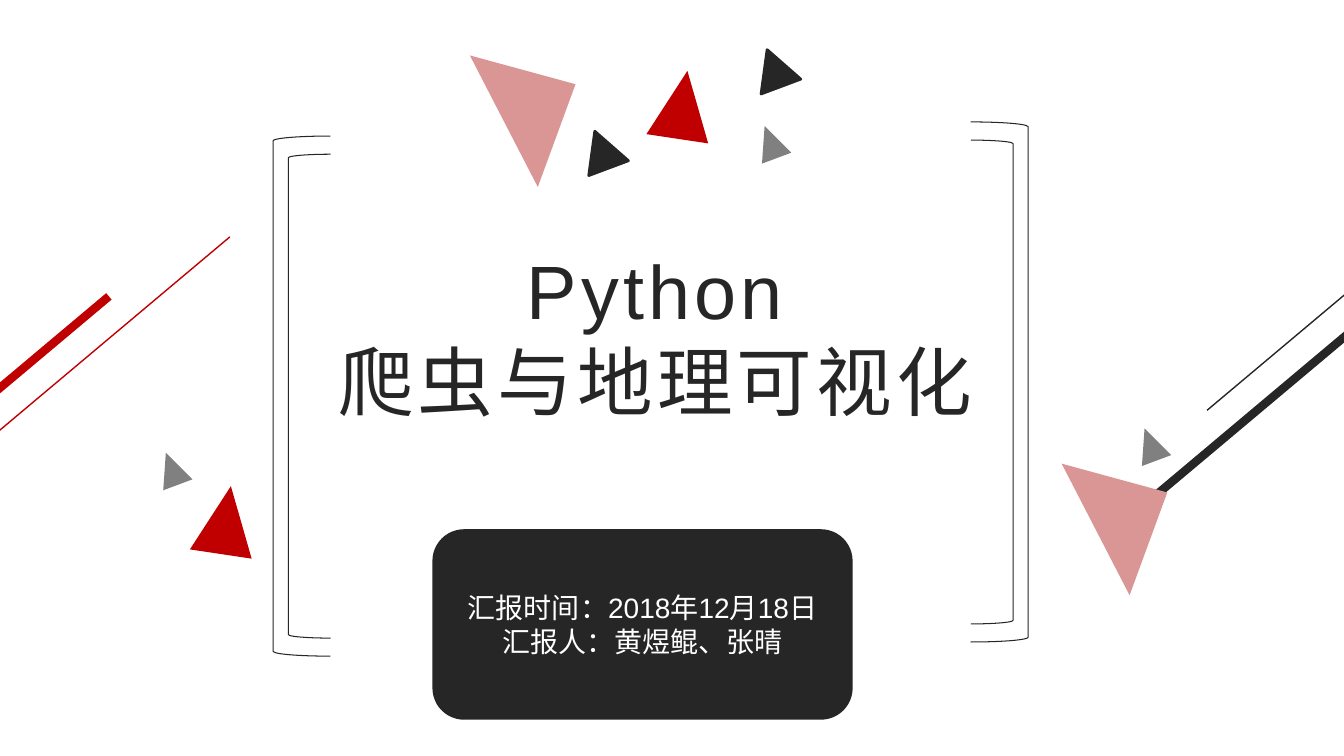
"""Build the opening slide of a report on Python crawling and geographic visualisation."""
from pptx import Presentation
from pptx.dml.color import RGBColor
from pptx.enum.shapes import MSO_CONNECTOR, MSO_SHAPE as SHAPE
from pptx.enum.text import MSO_ANCHOR, MSO_AUTO_SIZE, PP_ALIGN
from pptx.oxml.ns import qn
from pptx.util import Pt
from lxml.etree import SubElement

RED, DARK, GRAY, PINK, WHITE = "C00000", "262626", "808080", "D99694", "FFFFFF"


def paint(fmt, color):
    fmt.solid()
    fmt.fore_color.rgb = RGBColor.from_string(color)


def add_shape(kind, x, y, w, h, fill=None, line=None, weight=0.75):
    sp = s.shapes.add_shape(kind, Pt(x), Pt(y), Pt(w), Pt(h))
    sp.shadow.inherit = False
    if fill:
        paint(sp.fill, fill)
    else:
        sp.fill.background()
    if line:
        paint(sp.line.fill, line)
        sp.line.width = Pt(weight)
    else:
        sp.line.fill.background()
    return sp


prs = Presentation()
prs.slide_width, prs.slide_height = Pt(960), Pt(540)
s = prs.slides.add_slide(prs.slide_layouts[5])

diagonals = [
    (77.8, 211.7, RED, 6),
    (164.2, 169.2, RED, 1),
    (1015.9, 193.9, DARK, 6),
    (1066.2, 121.7, DARK, 1),
]
for x, y, color, weight in diagonals:
    line = s.shapes.add_connector(
        MSO_CONNECTOR.STRAIGHT, Pt(x), Pt(y), Pt(x - 204), Pt(y + 171.4))
    paint(line.line.fill, color)
    line.line.width = Pt(weight)
    SubElement(line._element.spPr, qn("a:effectLst"))

triangles = [
    (RED, None, 44.6, 49, 8.5, [(139, 347), (465.1, 50.4)]),
    (GRAY, None, 22.3, 24.5, 339.5, [(111.6, 322.6), (539.3, 89.3), (810.7, 305.3)]),
    (PINK, None, 105.8, 57.6, 62.7, [(755.3, 336.2), (332.6, 44.6)]),
    (DARK, DARK, 30.2, 28.1, 339.5, [(414.7, 92.9), (537.8, 34.6)]),
]
for fill, outline, w, h, angle, places in triangles:
    for x, y in places:
        sp = add_shape(SHAPE.ISOSCELES_TRIANGLE, x, y, w, h, fill, outline, 2)
        sp.rotation = angle

brackets = [
    (SHAPE.LEFT_BRACKET, 236.1, 1, 97.2),
    (SHAPE.RIGHT_BRACKET, 693.4, 0, 87.1),
]
for kind, open_x, side, top in brackets:
    for w, h, inset in [(41, 371.5, 0), (30.2, 345.6, 13)]:
        add_shape(kind, open_x - side * w, top + inset, w, h, line=DARK)

title = s.shapes.title
title.left, title.top, title.width, title.height = Pt(230.4), Pt(170.6), Pt(475.2), Pt(138.2)
tf = title.text_frame
tf.text = "Python\n爬虫与地理可视化"
tf.word_wrap = False
tf.auto_size = MSO_AUTO_SIZE.NONE
tf.vertical_anchor = MSO_ANCHOR.TOP

card = add_shape(SHAPE.ROUNDED_RECTANGLE, 308.9, 378, 300.2, 136.1, DARK)
card.text_frame.text = "汇报时间：2018年12月18日\n汇报人：黄煜鲲、张晴"
card.text_frame.word_wrap = True
card.text_frame.vertical_anchor = MSO_ANCHOR.MIDDLE

for sp, size, color in [(title, 54, DARK), (card, 20, WHITE)]:
    for p in sp.text_frame.paragraphs:
        p.alignment = PP_ALIGN.CENTER
        p.font.name = "Arial"
        p.font.size = Pt(size)
        paint(p.font.fill, color)

for p in tf.paragraphs:
    for r in p.runs:
        r._r.get_or_add_rPr().set("spc", "300")

prs.save("out.pptx")
